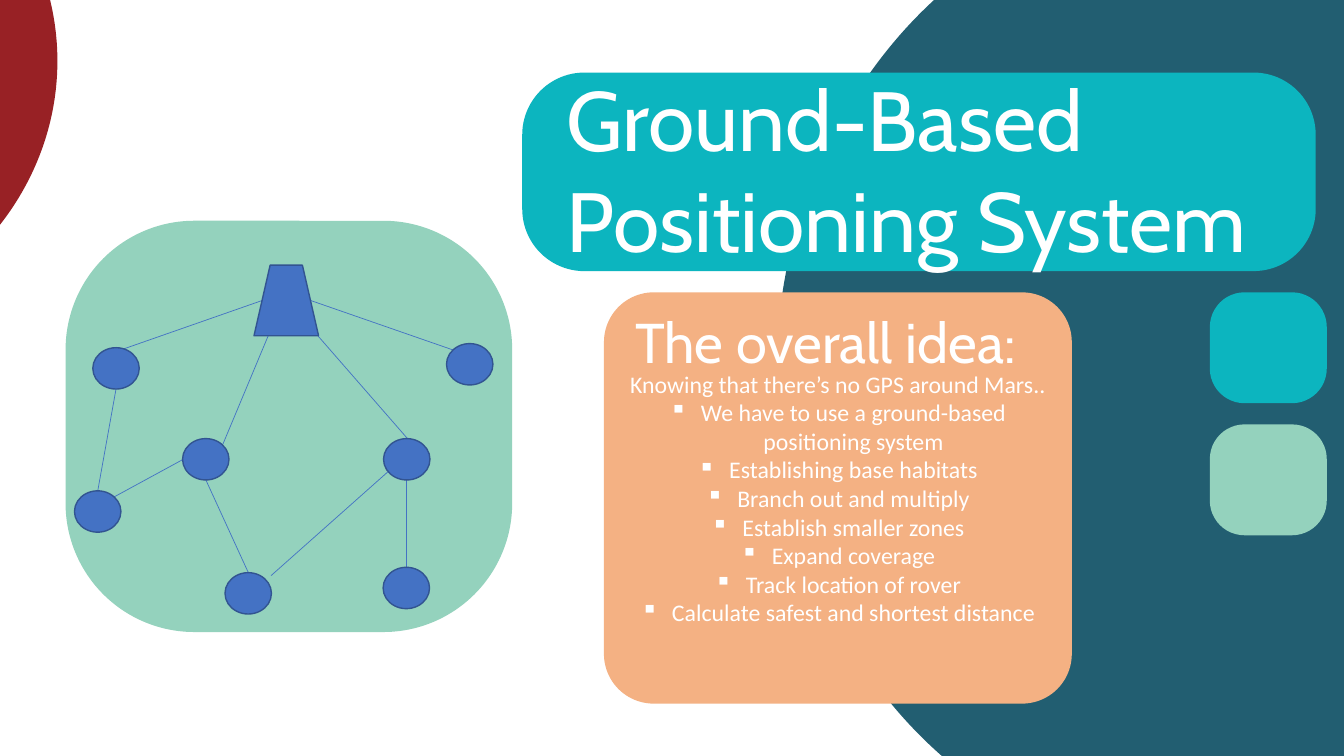
from lxml import etree
from pptx import Presentation
from pptx.dml.color import RGBColor
from pptx.enum.shapes import MSO_CONNECTOR, MSO_SHAPE
from pptx.enum.text import MSO_ANCHOR, PP_ALIGN
from pptx.oxml.ns import qn
from pptx.util import Inches, Pt

OVAL = MSO_SHAPE.OVAL
ROUND = MSO_SHAPE.ROUNDED_RECTANGLE
TRAP = MSO_SHAPE.TRAPEZOID
LINE = MSO_CONNECTOR.STRAIGHT
MID = MSO_ANCHOR.MIDDLE
LEFT, MIDDLE = PP_ALIGN.LEFT, PP_ALIGN.CENTER
INK = {"deep": "225E71", "mint": "94D2BD", "red": "982125", "teal": "0CB5BF",
       "peach": "F4B183", "blue": "4472C4", "edge": "325491", "white": "FFFFFF"}
PAGE = (0, 0, Inches(13.33), Inches(7.5))
CURVE = 0.313
INDENT = Inches(0.31)
NODE = (10.4, 10.05)
NODES = [(11.3, 35.9), (90.5, 34.9), (31.4, 58), (76.4, 58),
         (7.2, 70.7), (40.9, 90.6), (76.3, 89.3)]
LINKS = [((54.9, 19.4), (86.7, 31.4)), ((12.4, 31.4), (44, 19.4)),
         ((45.4, 27.9), (35.2, 54.4)), ((55.3, 26.5), (76.5, 52.9)),
         ((10.8, 67.2), (26.2, 58.1)), ((40.9, 85.5), (31.4, 63)),
         ((7.2, 65.7), (11.3, 40.9)), ((76.3, 84.3), (76.3, 59.1)),
         ((46, 86.3), (74.5, 58.8))]
IDEAS = ["We have to use a ground-based positioning system",
         "Establishing base habitats", "Branch out and multiply",
         "Establish smaller zones", "Expand coverage",
         "Track location of rover", "Calculate safest and shortest distance"]


def color(name):
    return RGBColor.from_string(INK[name])


def part(box, x, y, w=0, h=0):
    left, top, wide, high = box
    return (round(left + wide * x / 100), round(top + high * y / 100),
            round(wide * w / 100), round(high * h / 100))


def draw(slide, kind, box, fill, curve=None, edge=None):
    shape = slide.shapes.add_shape(kind, *box)
    shape.shadow.inherit = False
    shape.fill.solid()
    shape.fill.fore_color.rgb = color(fill)
    if curve:
        shape.adjustments[0] = curve
    if edge:
        shape.line.color.rgb = color(edge)
        shape.line.width = Pt(1)
    else:
        shape.line.fill.background()
    return shape


def link(slide, box, start, end):
    line = slide.shapes.add_connector(
        LINE, *part(box, *start)[:2], *part(box, *end)[:2])
    line.line.color.rgb = color("blue")
    line.line.width = Pt(0.5)
    etree.SubElement(line._element.spPr, qn("a:effectLst"))


def write(frame, lines, font, size, align, first_dot=None):
    for i, text in enumerate(lines):
        para = frame.add_paragraph() if i else frame.paragraphs[0]
        para.alignment = align
        if first_dot is not None and i >= first_dot:
            props = para._p.get_or_add_pPr()
            props.set("marL", str(INDENT))
            props.set("indent", str(-INDENT))
            etree.SubElement(props, qn("a:buChar")).set("char", "▪")
        run = para.add_run()
        run.text = text
        run.font.name = font
        run.font.size = Pt(size)
        run.font.color.rgb = color("white")


def label(slide, box, lines, size, wrap):
    frame = slide.shapes.add_textbox(*box).text_frame
    frame.word_wrap = wrap
    write(frame, lines, "Cabin", size, LEFT)


def backdrop(slide, box):
    draw(slide, OVAL, part(box, 57.76, -14.4, 63.84, 127.87), "deep")
    draw(slide, OVAL, part(box, -41.94, -29.33, 46.21, 74.8), "red")


def tiles(slide, box):
    for i, fill in enumerate(("teal", "mint")):
        draw(slide, ROUND, part(box, 0, 54.36 * i, 100, 45.64), fill, CURVE)


def idea(slide, box):
    frame = draw(slide, ROUND, box, "peach", 0.121).text_frame
    frame.word_wrap = True
    frame.vertical_anchor = MID
    lines = ["Knowing that there’s no GPS around Mars..", *IDEAS]
    write(frame, lines, "Calibri", 17, MIDDLE, first_dot=1)
    label(slide, part(box, 4.53, 2.45, 96.34, 18.87),
          ["The overall idea:"], 40, True)


def title(slide, box):
    draw(slide, ROUND, box, "teal", CURVE)
    label(slide, part(box, 4.32, -5.08, 95.04, 107.6),
          ["Ground-Based", "Positioning System"], 60, False)


def network(slide, box):
    draw(slide, ROUND, box, "mint", CURVE)
    for start, end in LINKS:
        link(slide, box, start, end)
    draw(slide, TRAP, part(box, 42.2, 10.8, 14.45, 17.15), "blue", edge="edge")
    wide, high = NODE
    for x, y in NODES:
        spot = part(box, x - wide / 2, y - high / 2, wide, high)
        draw(slide, OVAL, spot, "blue", edge="edge")


def main():
    deck = Presentation()
    deck.slide_width, deck.slide_height = PAGE[2:]
    slide = deck.slides.add_slide(deck.slide_layouts[6])
    backdrop(slide, PAGE)
    tiles(slide, part(PAGE, 90.02, 38.67, 8.7, 32.14))
    idea(slide, part(PAGE, 44.94, 38.67, 34.81, 54.4))
    title(slide, part(PAGE, 38.86, 9.6, 59.04, 26.27))
    network(slide, part(PAGE, 4.88, 29.2, 33.23, 54.4))
    deck.save("out.pptx")


if __name__ == "__main__":
    main()
